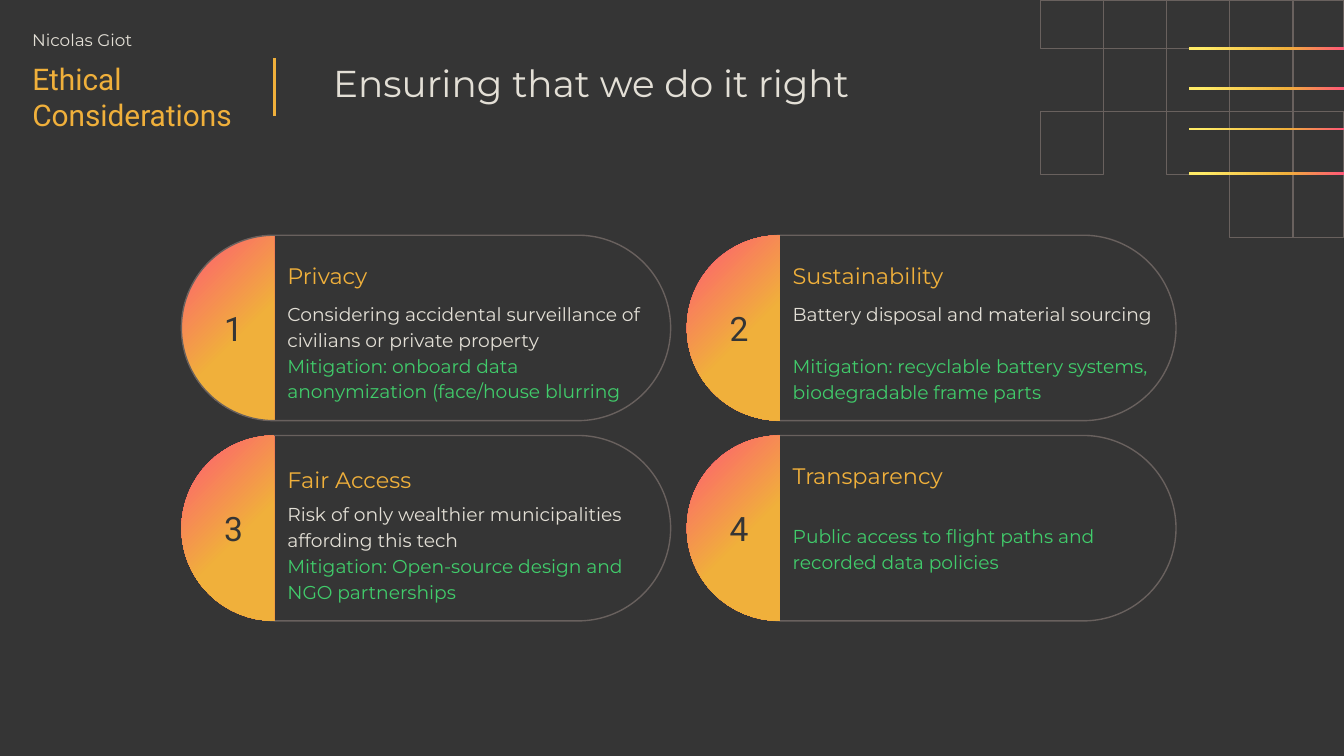
import dataclasses
import math

import lxml.etree
import pptx
import pptx.dml.color
import pptx.enum.shapes
import pptx.enum.text
import pptx.oxml.ns
import pptx.util

PX = 9144
SLIDE_WIDTH = 1000 * PX
COLORS = {
    "background": "353535",
    "outline": "69615E",
    "accent": "F0B03B",
    "text": "E3DFD6",
    "mitigation": "41CC6B",
    "pink": "FF5777",
    "yellow": "FFEB67",
}
CAP_STOPS = [(0, "pink"), (58, "accent"), (100, "accent")]
BAR_STOPS = [(0, "pink"), (37, "accent"), (92, "yellow"), (100, "yellow")]
GRID_ROWS = ["#####", ".###.", "#.###", "...##"]
GRID_X = [0, 47, 94, 141, 188, 226]
GRID_Y = [0, 36, 83, 130, 177]
BAR_TOPS = [35, 65, 95, 128]
RECTANGLE = pptx.enum.shapes.MSO_SHAPE.RECTANGLE
PILL = pptx.enum.shapes.MSO_SHAPE.ROUNDED_RECTANGLE
MIDDLE = pptx.enum.text.MSO_ANCHOR.MIDDLE
GROW = pptx.enum.text.MSO_AUTO_SIZE.SHAPE_TO_FIT_TEXT


@dataclasses.dataclass
class Card:
    """Content and spacing of one numbered consideration."""

    title: str
    concern: str
    mitigation: str
    pill_inset: int = 3
    body_inset: int = 0
    mitigation_gap: int = 0
    title_height: int = 32
    title_frame: dict = dataclasses.field(default_factory=lambda: {"margin_top": 7 * PX})
    title_spacing: dict = dataclasses.field(default_factory=dict)


CARDS = [
    Card("Privacy",
         "Considering accidental surveillance of civilians or private property",
         "Mitigation: onboard data anonymization (face/house blurring",
         pill_inset=0),
    Card("Sustainability",
         "Battery disposal and material sourcing",
         "Mitigation: recyclable battery systems, biodegradable frame parts",
         mitigation_gap=14),
    Card("Fair Access",
         "Risk of only wealthier municipalities affording this tech",
         "Mitigation: Open-source design and NGO partnerships",
         title_height=40, title_frame={"auto_size": GROW},
         title_spacing={"space_after": pptx.util.Pt(6)}),
    Card("Transparency", "",
         "Public access to flight paths and recorded data policies",
         body_inset=16),
]


def emu(*lengths):
    """Turn px lengths into EMU."""
    return [length * PX for length in lengths]


def rgb(color):
    """Look up a named colour."""
    return pptx.dml.color.RGBColor.from_string(COLORS[color])


def apply_format(target, values):
    """Set every attribute in a dict of format values."""
    for attribute, value in values.items():
        setattr(target, attribute, value)


def apply_outline(shape):
    """Leave the shape hollow with a thin outline."""
    shape.shadow.inherit = False
    shape.fill.background()
    shape.line.color.rgb = rgb("outline")
    shape.line.width = pptx.util.Pt(0.75)


def apply_gradient(shape, stops, angle):
    """Fill the shape with a borderless linear gradient."""
    qn = pptx.oxml.ns.qn
    shape.shadow.inherit = False
    shape.line.fill.background()
    shape.fill.gradient()
    shape.fill.gradient_angle = angle
    stop_list = next(shape._element.iter(qn("a:gsLst")))
    for default_stop in list(stop_list):
        stop_list.remove(default_stop)
    for position, color in stops:
        stop = lxml.etree.SubElement(stop_list, qn("a:gs"), pos=str(position * 1000))
        lxml.etree.SubElement(stop, qn("a:srgbClr"), val=COLORS[color])


def add_text(shapes, box, lines, size, font="Montserrat", frame=None):
    """Add a text box of (text, color, paragraph format) lines."""
    text_frame = shapes.add_textbox(*emu(*box)).text_frame
    margins = {f"margin_{side}": 10 * PX for side in ("left", "top", "right", "bottom")}
    apply_format(text_frame, {"word_wrap": True, **margins, **(frame or {})})
    for index, (text, color, spacing) in enumerate(lines):
        paragraph = text_frame.add_paragraph() if index else text_frame.paragraphs[0]
        apply_format(paragraph, spacing)
        run = paragraph.add_run()
        run.text = text
        apply_format(run.font, {"name": font, "size": pptx.util.Pt(size)})
        run.font.color.rgb = rgb(color)


def add_corner(shapes, left, top):
    """Draw the grid and gradient bars of the top right corner."""
    for row, cells in enumerate(GRID_ROWS):
        for column, cell in enumerate(cells):
            if cell == "#":
                x, y = GRID_X[column], GRID_Y[row]
                width, height = GRID_X[column + 1] - x, GRID_Y[row + 1] - y
                square = shapes.add_shape(RECTANGLE, *emu(left + x, top + y, width, height))
                apply_outline(square)
    for bar_top in BAR_TOPS:
        bar = shapes.add_shape(RECTANGLE, *emu(left + 111, top + bar_top, 115, 2))
        apply_gradient(bar, BAR_STOPS, 180)


def add_header(shapes, left, top):
    """Place the author, section, divider and headline."""
    divider = shapes.add_connector(
        pptx.enum.shapes.MSO_CONNECTOR.STRAIGHT,
        *emu(left + 200, top + 33, left + 200, top + 76))
    divider.line.color.rgb = rgb("accent")
    divider.line.width = pptx.util.Pt(1.5)
    lxml.etree.SubElement(divider._element.spPr, pptx.oxml.ns.qn("a:effectLst"))
    indent = {"margin_left": 20 * PX}
    add_text(shapes, (left, top, 173, 21), [("Nicolas Giot", "text", {})], 9,
             frame=indent | {"margin_top": 12 * PX, "margin_bottom": 0})
    add_text(shapes, (left, top + 25, 199, 57),
             [("Ethical Considerations", "accent", {})], 16, "Roboto", indent)
    add_text(shapes, (left + 234, top + 25, 427, 57),
             [("Ensuring that we do it right", "text", {"line_spacing": 1.15})],
             20, frame={"margin_top": 5 * PX})


def add_cap(shapes, left, top, radius):
    """Draw the half disc that holds a card number."""
    arc = []
    for step in range(33):
        angle = math.pi * (0.5 + step / 32)
        arc.append(((left + radius + radius * math.cos(angle)) * PX,
                    (top + radius - radius * math.sin(angle)) * PX))
    outline = shapes.build_freeform(*arc[0], scale=1.0)
    outline.add_line_segments(arc[1:], close=True)
    apply_gradient(outline.convert_to_shape(), CAP_STOPS, 315)


def add_pill(shapes, left, top, width, height):
    """Draw the rounded outline of a card."""
    pill = shapes.add_shape(PILL, *emu(left, top, width, height))
    pill.adjustments[0] = 0.5
    apply_outline(pill)


def add_card(shapes, left, top, width, height, number, card):
    """Place one numbered card in its box."""
    radius = height // 2
    inset = card.pill_inset
    layers = [(add_pill, (left + inset, top, width - inset, height)),
              (add_cap, (left, top, radius))]
    for add_layer, box in layers if inset else reversed(layers):
        add_layer(shapes, *box)
    add_text(shapes, (left + 22, top + 32, 45, 74),
             [(str(number), "background", {})], 18, "Roboto", {"vertical_anchor": MIDDLE})
    spacing = {"line_spacing": 1.15}
    text_left = left + radius
    add_text(shapes, (text_left, top + 10, 262, card.title_height),
             [(card.title, "accent", spacing | card.title_spacing)],
             12, frame=card.title_frame)
    gap = {"space_before": pptx.util.Pt(card.mitigation_gap)}
    lines = [(card.concern, "text", spacing), (card.mitigation, "mitigation", spacing | gap)]
    add_text(shapes, (text_left, top + 48, 295, 90),
             [line for line in lines if line[0]], 10,
             frame={"margin_top": card.body_inset * PX})


def main():
    """Build the slide and save it."""
    presentation = pptx.Presentation()
    apply_format(presentation, {"slide_width": SLIDE_WIDTH,
                                "slide_height": SLIDE_WIDTH * 9 // 16})
    slide = presentation.slides.add_slide(presentation.slide_layouts[6])
    slide.background.fill.solid()
    slide.background.fill.fore_color.rgb = rgb("background")
    add_corner(slide.shapes, 774, 0)
    add_header(slide.shapes, 4, 10)
    for index, card in enumerate(CARDS):
        row, column = divmod(index, 2)
        add_card(slide.shapes, 135 + 376 * column, 175 + 149 * row, 364, 138, index + 1, card)
    presentation.save("out.pptx")


if __name__ == "__main__":
    main()
